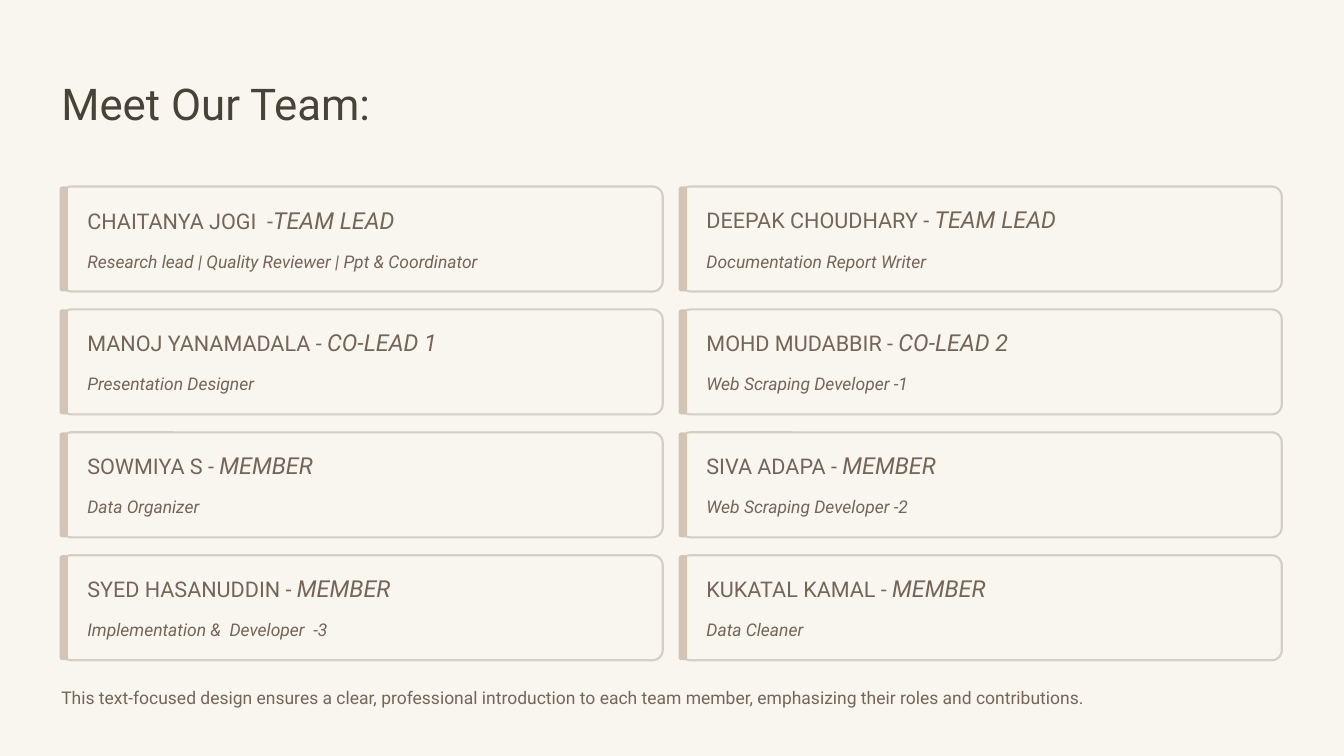
from pptx import Presentation
from pptx.dml.color import RGBColor
from pptx.enum.shapes import MSO_SHAPE
from pptx.enum.text import MSO_ANCHOR, MSO_AUTO_SIZE, PP_ALIGN
from pptx.util import Inches, Pt

ROUNDED = MSO_SHAPE.ROUNDED_RECTANGLE
LEFT = PP_ALIGN.LEFT
TOP = MSO_ANCHOR.TOP
NO_FIT = MSO_AUTO_SIZE.NONE

COLORS = {
    "paper": "F9F6F0",
    "heading": "484237",
    "body": "746558",
    "border": "D4CEC3",
    "accent": "D3C5B6",
}
FONT = "Roboto"
COLUMNS, ROWS = 16, 9
CARD_LEFT, CARD_TOP = 0.73, 2.22
CARD_WIDTH, CARD_HEIGHT = 7.16, 1.25
COLUMN_STEP, ROW_STEP = 7.37, 4.39 / 3

TEAM = [
    ("CHAITANYA JOGI  -", "TEAM LEAD", "Research lead | Quality Reviewer | Ppt & Coordinator"),
    ("DEEPAK CHOUDHARY - ", "TEAM LEAD", "Documentation Report Writer"),
    ("MANOJ YANAMADALA - ", "CO-LEAD 1", "Presentation Designer"),
    ("MOHD MUDABBIR - ", "CO-LEAD 2", "Web Scraping Developer -1"),
    ("SOWMIYA S - ", "MEMBER", "Data Organizer"),
    ("SIVA ADAPA - ", "MEMBER", "Web Scraping Developer -2"),
    ("SYED HASANUDDIN - ", "MEMBER", "Implementation &  Developer  -3"),
    ("KUKATAL KAMAL - ", "MEMBER", "Data Cleaner"),
]


def color(name):
    return RGBColor.from_string(COLORS[name])


def add_run(paragraph, text, size=15, tone="body", italic=False):
    run = paragraph.add_run()
    run.text = text
    run.font.name = FONT
    run.font.size = Pt(size)
    run.font.bold = False
    run.font.italic = italic
    run.font.color.rgb = color(tone)


class TeamSlide:
    def __init__(self, deck):
        self.column = deck.slide_width / COLUMNS
        self.row = deck.slide_height / ROWS
        self.slide = deck.slides.add_slide(deck.slide_layouts[5])
        background = self.slide.background.fill
        background.solid()
        background.fore_color.rgb = color("paper")

    def place(self, left, top, width, height):
        return (round(left * self.column), round(top * self.row),
                round(width * self.column), round(height * self.row))

    def set_line(self, holder, runs, spacing=24):
        frame = holder.text_frame
        frame.margin_left = frame.margin_right = 0
        frame.margin_top = frame.margin_bottom = 0
        frame.word_wrap = False
        frame.auto_size = NO_FIT
        frame.vertical_anchor = TOP
        paragraph = frame.paragraphs[0]
        paragraph.alignment = LEFT
        paragraph.line_spacing = Pt(spacing)
        for text, style in runs:
            add_run(paragraph, text, **style)

    def title(self, text, area):
        heading = self.slide.shapes.title
        heading.left, heading.top, heading.width, heading.height = self.place(*area)
        self.set_line(heading, [(text, {"size": 37.5, "tone": "heading"})], spacing=47)

    def text(self, runs, area, spacing=24):
        box = self.slide.shapes.add_textbox(*self.place(*area))
        self.set_line(box, runs, spacing)

    def panel(self, area, rounding, fill, border=None):
        panel = self.slide.shapes.add_shape(ROUNDED, *self.place(*area))
        panel.adjustments[0] = rounding
        panel.shadow.inherit = False
        panel.fill.solid()
        panel.fill.fore_color.rgb = color(fill)
        if border:
            panel.line.color.rgb = color(border)
            panel.line.width = Pt(1.8)
        else:
            panel.line.fill.background()

    def card(self, index, name, role, duty):
        row, column = divmod(index, 2)
        left = CARD_LEFT + column * COLUMN_STEP
        top = CARD_TOP + row * ROW_STEP
        self.panel((left, top, CARD_WIDTH, CARD_HEIGHT), 0.096, "paper", "border")
        self.panel((left - 0.02, top, 0.1, CARD_HEIGHT), 0.314, "accent")
        self.text([(name, {"size": 18.5}), (role, {"size": 20, "italic": True})],
                  (left + 0.31, top + 0.23, 2.61, 0.33),
                  spacing=23.5 if index else 24)
        self.text([(duty, {"italic": True})], (left + 0.31, top + 0.68, 6.62, 0.33))


def main():
    deck = Presentation()
    deck.slide_width, deck.slide_height = Inches(COLUMNS), Inches(ROWS)
    page = TeamSlide(deck)
    page.title("Meet Our Team:", (CARD_LEFT, 0.89, 8.32, 0.65))
    for index, member in enumerate(TEAM):
        page.card(index, *member)
    closing = ("This text-focused design ensures a clear, professional introduction to each "
               "team member, emphasizing their roles and contributions.")
    page.text([(closing, {})], (CARD_LEFT, 8.1, 14.54, 0.33))
    deck.save("out.pptx")


if __name__ == "__main__":
    main()
